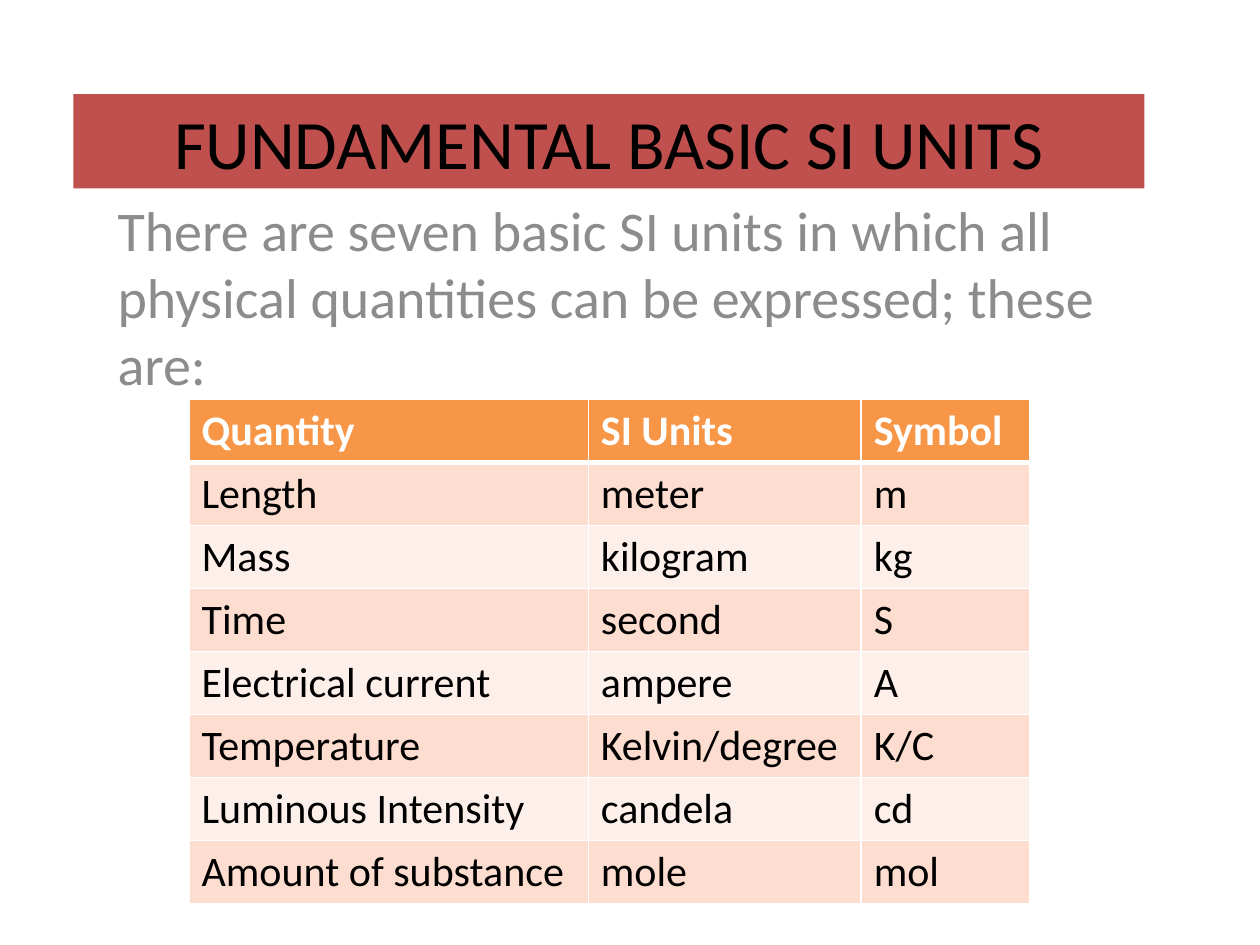
from lxml import etree
from pptx import Presentation
from pptx.dml.color import RGBColor
from pptx.enum.shapes import MSO_SHAPE
from pptx.enum.text import MSO_ANCHOR, PP_ALIGN
from pptx.oxml.ns import qn
from pptx.util import Cm, Pt

RECTANGLE = MSO_SHAPE.RECTANGLE
MIDDLE = MSO_ANCHOR.MIDDLE
CENTER = PP_ALIGN.CENTER
LEFT = PP_ALIGN.LEFT

COLORS = {
    "banner": "C0504D",
    "header": "F79646",
    "odd_row": "FCDDCF",
    "even_row": "FDEFE9",
    "black": "000000",
    "white": "FFFFFF",
    "gray": "8C8C8C",
}

UNITS = [
    ("Quantity", "SI Units", "Symbol"),
    ("Length", "meter", "m"),
    ("Mass", "kilogram", "kg"),
    ("Time", "second", "S"),
    ("Electrical current", "ampere", "A"),
    ("Temperature", "Kelvin/degree", "K/C"),
    ("Luminous Intensity", "candela", "cd"),
    ("Amount of substance", "mole", "mol"),
]


class SlideBuilder:
    """Adds elements in one shared style to a slide; lengths are in cm."""

    font_name = "Calibri"

    def __init__(self, slide):
        self.slide = slide

    def color(self, key):
        return RGBColor.from_string(COLORS[key])

    def paint(self, target, key):
        target.fill.solid()
        target.fill.fore_color.rgb = self.color(key)

    def set_text(self, frame, text, size, key, align=LEFT, bold=False):
        frame.word_wrap = True
        paragraph = frame.paragraphs[0]
        paragraph.text = text
        paragraph.alignment = align
        font = paragraph.font
        font.name = self.font_name
        font.size = Pt(size)
        font.bold = bold
        font.color.rgb = self.color(key)
        return paragraph

    def banner(self, text, left, top, width, height):
        banner = self.slide.shapes.add_shape(
            RECTANGLE, Cm(left), Cm(top), Cm(width), Cm(height))
        banner.shadow.inherit = False
        banner.line.fill.background()
        self.paint(banner, "banner")
        banner.text_frame.vertical_anchor = MIDDLE
        self.set_text(banner.text_frame, text, 39.6, "black", CENTER)

    def body(self, text, left, top, width, height):
        body = self.slide.shapes.add_textbox(
            Cm(left), Cm(top), Cm(width), Cm(height))
        paragraph = self.set_text(body.text_frame, text, 32, "gray")
        paragraph.space_before = Pt(6.4)

    def cell_borders(self, cell, **widths):
        """Draw white borders; widths maps L, R, T and B, in that order, to points."""
        properties = cell._tc.get_or_add_tcPr()
        for side, width in widths.items():
            line = etree.SubElement(properties, qn(f"a:ln{side}"), w=str(Pt(width)))
            fill = etree.SubElement(line, qn("a:solidFill"))
            etree.SubElement(fill, qn("a:srgbClr"), val=COLORS["white"])

    def table(self, rows, left, top, column_widths, row_height):
        table = self.slide.shapes.add_table(
            len(rows), len(column_widths), Cm(left), Cm(top),
            Cm(sum(column_widths)), Cm(row_height * len(rows))).table
        for column, width in zip(table.columns, column_widths):
            column.width = Cm(width)
        for r, row in enumerate(rows):
            is_header = r == 0
            band = "header" if is_header else "odd_row" if r % 2 else "even_row"
            for c, text in enumerate(row):
                cell = table.cell(r, c)
                self.cell_borders(cell, L=1, R=1, T=3 if r == 1 else 1,
                                  B=3 if is_header else 1)
                self.paint(cell, band)
                self.set_text(cell.text_frame, text, 24,
                              "white" if is_header else "black", bold=is_header)


def main():
    presentation = Presentation()
    presentation.slide_width = Cm(25.4)
    presentation.slide_height = Cm(19.05)
    blank_layout = presentation.slide_layouts[6]
    builder = SlideBuilder(presentation.slides.add_slide(blank_layout))

    builder.banner("FUNDAMENTAL BASIC SI UNITS", 1.48, 1.9, 21.59, 1.9)
    builder.body("There are seven basic SI units in which all physical "
                 "quantities can be expressed; these are:",
                 2.12, 3.81, 21.59, 14.4)
    builder.table(UNITS, 3.81, 8.05, (8.05, 5.5, 3.39), 1.27)

    presentation.save("out.pptx")


if __name__ == "__main__":
    main()
